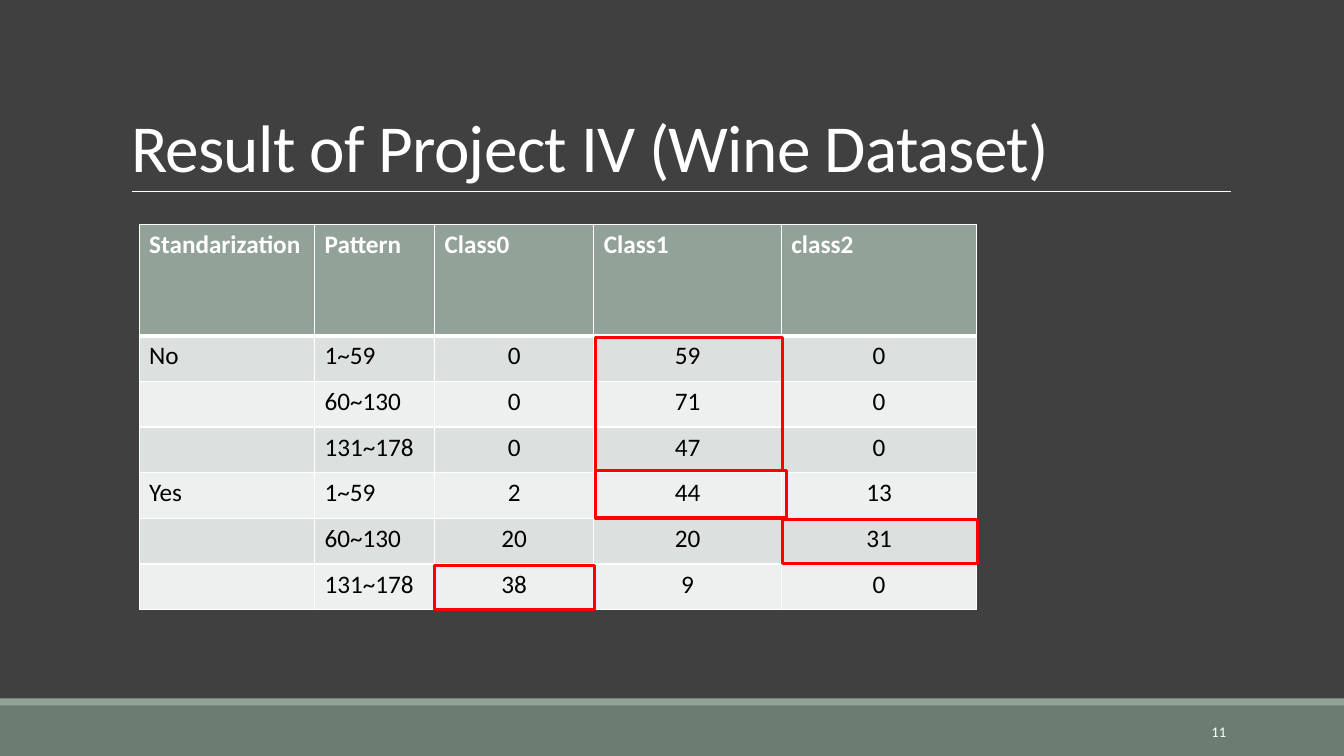
from lxml import etree
from pptx import Presentation
from pptx.dml.color import RGBColor
from pptx.enum import shapes, text
from pptx.oxml import ns
from pptx.util import Inches, Pt

FONT = "Calibri"
WHITE, BLACK, RED = "FFFFFF", "000000", "FF0000"
BACKGROUND, SAGE, DARK_SAGE = "404040", "93A299", "6B7D72"
BANDS = ("DCE0DE", "EEF0EF")
COLUMN_WIDTHS = (1.74, 1.19, 1.58, 1.86, 1.94)
HEADER_HEIGHT, TABLE_HEIGHT = 1.1, 3.82
RESULTS = (
    ("Standarization", "Pattern", "Class0", "Class1", "class2"),
    ("No", "1~59", "0", "59", "0"),
    ("", "60~130", "0", "71", "0"),
    ("", "131~178", "0", "47", "0"),
    ("Yes", "1~59", "2", "44", "13"),
    ("", "60~130", "20", "20", "31"),
    ("", "131~178", "38", "9", "0"),
)
HIGHLIGHTS = (
    (4.31, 5.61, 1.59, 0.44),
    (5.91, 3.35, 1.85, 1.32),
    (5.91, 4.67, 1.89, 0.47),
    (7.76, 5.15, 1.94, 0.44),
)


def paint(color_format, color):
    color_format.rgb = RGBColor.from_string(color)


def fill_solid(fill, color):
    fill.solid()
    paint(fill.fore_color, color)


def write(frame, words, size=18, color=WHITE, bold=False, align=text.PP_ALIGN.LEFT,
          line_spacing=None, tracking=None):
    paragraph = frame.paragraphs[0]
    paragraph.alignment = align
    if line_spacing:
        paragraph.line_spacing = line_spacing
    run = paragraph.add_run()
    run.text = words
    run.font.name = FONT
    run.font.size = Pt(size)
    run.font.bold = bold
    paint(run.font.color, color)
    if tracking:
        run.font._element.set("spc", str(int(tracking * 100)))


def add_rectangle(slide, box, fill=None, line=None):
    shape = slide.shapes.add_shape(shapes.MSO_SHAPE.RECTANGLE, *map(Inches, box))
    shape.shadow.inherit = False
    if fill:
        fill_solid(shape.fill, fill)
    else:
        shape.fill.background()
    if line:
        paint(shape.line.color, line)
        shape.line.width = Pt(2.25)
    else:
        shape.line.fill.background()


def add_title(slide, words):
    title = slide.shapes.title
    title.left, title.top, title.width, title.height = map(Inches, (1.2, 0.31, 11, 1.59))
    frame = title.text_frame
    frame.auto_size = text.MSO_AUTO_SIZE.NONE
    frame.vertical_anchor = text.MSO_ANCHOR.BOTTOM
    write(frame, words, size=48, line_spacing=0.85, tracking=-0.5)


def add_title_rule(slide):
    rule = slide.shapes.add_connector(
        shapes.MSO_CONNECTOR.STRAIGHT, *map(Inches, (1.31, 1.9, 12.21, 1.9)))
    paint(rule.line.color, WHITE)
    rule.line.width = Pt(0.5)
    etree.SubElement(rule._element.spPr, ns.qn("a:effectLst"))


def add_slide_number(slide, number):
    box = slide.shapes.add_textbox(*map(Inches, (10.83, 7.06, 1.43, 0.4)))
    box.text_frame.word_wrap = True
    box.text_frame.vertical_anchor = text.MSO_ANCHOR.MIDDLE
    write(box.text_frame, number, size=10.5, align=text.PP_ALIGN.RIGHT)


def add_border(cell, side, width):
    line = etree.SubElement(cell._tc.get_or_add_tcPr(), ns.qn(f"a:ln{side}"),
                            w=str(Pt(width)))
    fill = etree.SubElement(line, ns.qn("a:solidFill"))
    etree.SubElement(fill, ns.qn("a:srgbClr"), val=WHITE)


def format_cell(cell, words, row, column):
    header = row == 0
    for side in "LRTB":
        thick = (header and side == "B") or (row == 1 and side == "T")
        add_border(cell, side, 3 if thick else 1)
    fill_solid(cell.fill, SAGE if header else BANDS[(row - 1) % 2])
    if words:
        centred = not header and column >= 2
        write(cell.text_frame, words, color=WHITE if header else BLACK, bold=header,
              align=text.PP_ALIGN.CENTER if centred else text.PP_ALIGN.LEFT)


def add_results_table(slide):
    frame = slide.shapes.add_table(
        len(RESULTS), len(COLUMN_WIDTHS),
        *map(Inches, (1.38, 2.23, sum(COLUMN_WIDTHS), TABLE_HEIGHT)))
    table = frame.table
    for column, width in zip(table.columns, COLUMN_WIDTHS):
        column.width = Inches(width)
    body_height = (TABLE_HEIGHT - HEADER_HEIGHT) / (len(RESULTS) - 1)
    for row, values in enumerate(RESULTS):
        table.rows[row].height = Inches(body_height if row else HEADER_HEIGHT)
        for column, words in enumerate(values):
            format_cell(table.cell(row, column), words, row, column)


def main():
    presentation = Presentation()
    presentation.slide_width, presentation.slide_height = Inches(13.33), Inches(7.5)
    slide = presentation.slides.add_slide(presentation.slide_layouts[5])
    fill_solid(slide.background.fill, BACKGROUND)
    add_rectangle(slide, (0, 7, 13.33, 0.5), fill=DARK_SAGE)
    add_rectangle(slide, (0, 6.93, 13.33, 0.07), fill=SAGE)
    add_title_rule(slide)
    add_title(slide, "Result of Project IV (Wine Dataset)")
    add_slide_number(slide, "11")
    add_results_table(slide)
    for box in HIGHLIGHTS:
        add_rectangle(slide, box, line=RED)
    presentation.save("out.pptx")


if __name__ == "__main__":
    main()
